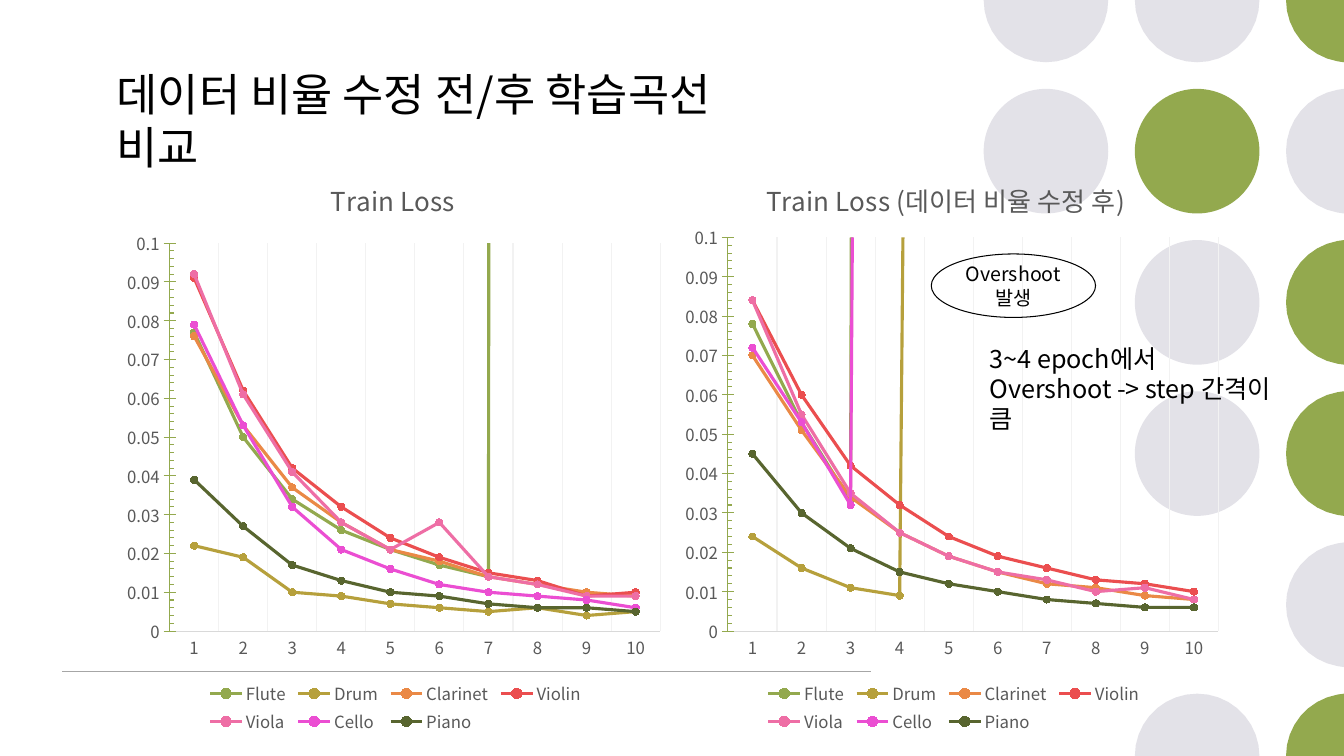
from copy import deepcopy
from dataclasses import dataclass
from math import cos, pi, sin

from lxml.etree import SubElement
from pptx import Presentation
from pptx.chart.data import CategoryChartData
from pptx.dml.color import RGBColor
from pptx.enum.chart import XL_CHART_TYPE as ChartType, XL_LEGEND_POSITION as LegendPosition
from pptx.enum.chart import XL_MARKER_STYLE as MarkerStyle, XL_TICK_MARK as TickMark
from pptx.enum.shapes import MSO_CONNECTOR as Connector, MSO_SHAPE as Shape
from pptx.enum.text import MSO_ANCHOR as Anchor, PP_ALIGN as Align
from pptx.oxml import parse_xml
from pptx.oxml.ns import nsdecls, qn
from pptx.util import Cm, Pt


@dataclass(frozen=True)
class Theme:
    font: str = "Noto Sans CJK KR"
    text: str = "000000"
    chart_text: str = "595959"
    green: str = "93A94E"
    gray: str = "E3E2E8"
    rule: str = "A6A6A6"
    axis: str = "D9D9D9"
    grid: str = "F2F2F2"
    title_size: float = 32
    note_size: float = 18
    callout_size: float = 14
    chart_title_size: float = 18.6
    label_size: float = 12
    line_pitch: float = 1.19


@dataclass(frozen=True)
class LossChart:
    title: str
    left: float
    title_at: tuple[float, float]
    plot_top: float
    plot_height: float
    losses: list[list[float]]


THEME = Theme()
WIDTH, HEIGHT = 33.87, 19.05
INSTRUMENTS = {
    "Flute": THEME.green, "Drum": "B6A03C", "Clarinet": "EA8946", "Violin": "EB4E4F",
    "Viola": "EE6EA5", "Cello": "EB4ED2", "Piano": "58652F",
}
PRIMARY_COUNT = 3
# One string per row of dots: G green, g gray, blank for no dot
DOT_ROWS = ["ggG", "gGg", " gG", " gG", "  g", " gG"]
DOT_RADIUS, DOT_PITCH, FIRST_DOT, DOT_STEPS = 1.57, 3.81, 26.36, 36

CHARTS = [
    LossChart("Train Loss", 2.87, (0.38, 0.04), 0.16, 0.66, [
        [0.077, 0.05, 0.034, 0.026, 0.021, 0.017, 0.014, 12.887, 15.508, 15.508],
        [0.022, 0.019, 0.01, 0.009, 0.007, 0.006, 0.005, 0.006, 0.004, 0.005],
        [0.076, 0.053, 0.037, 0.028, 0.021, 0.018, 0.014, 0.012, 0.01, 0.009],
        [0.091, 0.062, 0.042, 0.032, 0.024, 0.019, 0.015, 0.013, 0.009, 0.01],
        [0.092, 0.061, 0.041, 0.028, 0.021, 0.028, 0.014, 0.012, 0.009, 0.009],
        [0.079, 0.053, 0.032, 0.021, 0.016, 0.012, 0.01, 0.009, 0.008, 0.006],
        [0.039, 0.027, 0.017, 0.013, 0.01, 0.009, 0.007, 0.006, 0.006, 0.005],
    ]),
    LossChart("Train Loss (데이터 비율 수정 후)", 16.94, (0.16, 0.04), 0.15, 0.67, [
        [0.078, 0.053, 0.033, 4.559, 4.778, 4.778, 4.778, 4.779, 4.778, 4.778],
        [0.024, 0.016, 0.011, 0.009, 1.357, 2.328, 2.328, 2.328, 2.328, 2.328],
        [0.07, 0.051, 0.034, 0.025, 0.019, 0.015, 0.012, 0.011, 0.009, 0.008],
        [0.084, 0.06, 0.042, 0.032, 0.024, 0.019, 0.016, 0.013, 0.012, 0.01],
        [0.084, 0.055, 0.035, 0.025, 0.019, 0.015, 0.013, 0.01, 0.011, 0.008],
        [0.072, 0.053, 0.032, 1.9, 5.4, 5.4, 5.4, 5.4, 5.4, 5.4],
        [0.045, 0.03, 0.021, 0.015, 0.012, 0.01, 0.008, 0.007, 0.006, 0.006],
    ]),
]


def rgb(color: str) -> RGBColor:
    return RGBColor.from_string(color)


def style_font(font, size: float, color: str) -> None:
    font.name, font.size, font.bold = THEME.font, Pt(size), False
    font.color.rgb = rgb(color)


def style_run(span, size: float, color: str) -> None:
    style_font(span.font, size, color)
    SubElement(span.font._element, qn("a:ea")).set("typeface", THEME.font)


def write(frame, lines: list[str], size: float, align=Align.LEFT) -> None:
    frame.word_wrap = True
    frame.text = "\n".join(lines)
    for para in frame.paragraphs:
        para.alignment = align
        para.line_spacing = Pt(size * THEME.line_pitch)
        for span in para.runs:
            style_run(span, size, THEME.text)


def add_text(page, at: tuple[float, ...], lines: list[str], size: float) -> None:
    box = page.shapes.add_textbox(*map(Cm, at))
    write(box.text_frame, lines, size)


def clipped_circle(x: float, y: float) -> list[tuple[int, int]]:
    """Outline of a dot cut off at the slide edge, without points inside straight runs."""
    angles = [2 * pi * step / DOT_STEPS for step in range(DOT_STEPS)]
    points = [(Cm(min(x + DOT_RADIUS * cos(angle), WIDTH)),
               Cm(min(max(y + DOT_RADIUS * sin(angle), 0), HEIGHT))) for angle in angles]
    corners = []
    for index, (px, py) in enumerate(points):
        (ax, ay), (bx, by) = points[index - 1], points[(index + 1) % DOT_STEPS]
        on_edge = ax == px == bx or ay == py == by
        if not on_edge and (px, py) not in corners:
            corners.append((px, py))
    # A dot in the slide corner also needs the corner itself
    if x + DOT_RADIUS > WIDTH and y in (0, HEIGHT):
        corner = (Cm(WIDTH), Cm(y))
        if corner not in corners:
            corners.insert(0 if y == 0 else len(corners), corner)
    return corners


def add_dot(page, x: float, y: float, color: str) -> None:
    radius = DOT_RADIUS
    if x + radius <= WIDTH and radius <= y <= HEIGHT - radius:
        dot = page.shapes.add_shape(Shape.OVAL, Cm(x - radius), Cm(y - radius),
                                    Cm(2 * radius), Cm(2 * radius))
    else:
        points = clipped_circle(x, y)
        builder = page.shapes.build_freeform(*points[0])
        builder.add_line_segments(points[1:])
        dot = builder.convert_to_shape()
    dot.shadow.inherit = False
    dot.fill.solid()
    dot.fill.fore_color.rgb = rgb(color)
    dot.line.fill.background()


def layout_xml(x: float, y: float, size: tuple[float, ...] = (), inner: bool = False):
    target = '<c:layoutTarget val="inner"/>' if inner else ""
    values = "".join(f'<c:{tag} val="{value}"/>' for tag, value in zip("xywh", (x, y, *size)))
    return parse_xml(f'<c:layout {nsdecls("c")}><c:manualLayout>{target}<c:xMode val="edge"/>'
                     f'<c:yMode val="edge"/>{values}</c:manualLayout></c:layout>')


def place(parent, after: str | None, layout) -> None:
    for old in parent.findall(qn("c:layout")):
        parent.remove(old)
    position = parent.index(parent.find(qn(after))) + 1 if after else 0
    parent.insert(position, layout)


def split_axes(plot_area) -> None:
    """Move the later series to a hidden secondary pair of axes."""
    first = plot_area.find(qn("c:lineChart"))
    second = deepcopy(first)
    first.addnext(second)
    for line in first.findall(qn("c:ser"))[PRIMARY_COUNT:]:
        first.remove(line)
    for line in second.findall(qn("c:ser"))[:PRIMARY_COUNT]:
        second.remove(line)
    axes = [plot_area.find(qn(tag)) for tag in ("c:catAx", "c:valAx")]
    new_ids = {axis.find(qn("c:axId")).get("val"): str(5001 + i) for i, axis in enumerate(axes)}
    last = axes[-1]
    for axis in axes:
        hidden = deepcopy(axis)
        for grid in hidden.findall(qn("c:majorGridlines")):
            hidden.remove(grid)
        hidden.find(qn("c:delete")).set("val", "1")
        for tag in ("c:axId", "c:crossAx"):
            link = hidden.find(qn(tag))
            link.set("val", new_ids[link.get("val")])
        if axis.tag == qn("c:valAx"):
            hidden.find(qn("c:axPos")).set("val", "r")
            hidden.find(qn("c:crosses")).set("val", "max")
        last.addnext(hidden)
        last = hidden
    for link in second.findall(qn("c:axId")):
        link.set("val", new_ids[link.get("val")])


def add_loss_chart(page, item: LossChart) -> None:
    data = CategoryChartData()
    data.categories = [str(epoch) for epoch in range(1, 11)]
    for name, values in zip(INSTRUMENTS, item.losses):
        data.add_series(name, values)
    chart = page.shapes.add_chart(ChartType.LINE_MARKERS, Cm(item.left), Cm(3.76),
                                  Cm(14.05), Cm(14.81), data).chart
    style_font(chart.font, THEME.label_size, THEME.chart_text)
    # Title and legend
    chart.chart_title.text_frame.text = item.title
    style_run(chart.chart_title.text_frame.paragraphs[0].runs[0],
              THEME.chart_title_size, THEME.chart_text)
    chart.has_legend = True
    chart.legend.position = LegendPosition.BOTTOM
    chart.legend.include_in_layout = False
    style_font(chart.legend.font, THEME.label_size, THEME.chart_text)
    # Axes
    epochs, loss = chart.category_axis, chart.value_axis
    for axis, color in ((epochs, THEME.axis), (loss, THEME.green)):
        style_font(axis.tick_labels.font, THEME.label_size, THEME.chart_text)
        axis.format.line.color.rgb = rgb(color)
        axis.format.line.width = Pt(0.75)
    epochs.major_tick_mark = TickMark.NONE
    epochs.has_major_gridlines = True
    epochs.major_gridlines.format.line.color.rgb = rgb(THEME.grid)
    loss.has_major_gridlines = False
    loss.minimum_scale, loss.maximum_scale, loss.major_unit = 0, 0.1, 0.01
    loss.major_tick_mark, loss.minor_tick_mark = TickMark.CROSS, TickMark.INSIDE
    # Series
    for series, color in zip(chart.plots[0].series, INSTRUMENTS.values()):
        series.smooth = False
        series.format.line.width = Pt(2.25)
        series.marker.style, series.marker.size = MarkerStyle.CIRCLE, 5
        series.marker.format.fill.solid()
        series.marker.format.fill.fore_color.rgb = rgb(color)
        for line in (series.format.line, series.marker.format.line):
            line.color.rgb = rgb(color)
    # Places inside the chart, as shares of its size
    root = chart._chartSpace.find(qn("c:chart"))
    plot_area = root.find(qn("c:plotArea"))
    split_axes(plot_area)
    place(root.find(qn("c:title")), "c:tx", layout_xml(*item.title_at))
    place(root.find(qn("c:legend")), "c:legendPos", layout_xml(0.16, 0.9, (0.69, 0.1)))
    place(plot_area, None, layout_xml(0.1, item.plot_top, (0.88, item.plot_height), inner=True))


def main() -> None:
    deck = Presentation()
    deck.slide_width, deck.slide_height = Cm(WIDTH), Cm(HEIGHT)
    page = deck.slides.add_slide(deck.slide_layouts[6])
    # Dot pattern and rule
    for row, marks in enumerate(DOT_ROWS):
        for column, mark in enumerate(marks):
            if mark != " ":
                add_dot(page, FIRST_DOT + column * DOT_PITCH, row * DOT_PITCH,
                        THEME.green if mark == "G" else THEME.gray)
    rule = page.shapes.add_connector(Connector.STRAIGHT, Cm(1.57), Cm(16.92), Cm(21.95), Cm(16.92))
    rule.line.color.rgb = rgb(THEME.rule)
    rule.line.width = Pt(1)
    SubElement(rule._element.spPr, qn("a:effectLst"))

    for item in CHARTS:
        add_loss_chart(page, item)
    # Title, callout and note
    add_text(page, (2.69, 1.57, 17.12, 1.63), ["데이터 비율 수정 전/후 학습곡선 비교"], THEME.title_size)
    callout = page.shapes.add_shape(Shape.OVAL, Cm(23.47), Cm(6.4), Cm(4.14), Cm(1.6))
    callout.shadow.inherit = False
    callout.fill.background()
    callout.line.color.rgb = rgb(THEME.text)
    callout.line.width = Pt(0.75)
    frame = callout.text_frame
    frame.margin_left = frame.margin_right = Cm(0.1)
    frame.vertical_anchor = Anchor.MIDDLE
    write(frame, ["Overshoot 발생"], THEME.callout_size, Align.CENTER)
    add_text(page, (24.69, 8.53, 7.95, 1.8),
             ["3~4 epoch에서", "Overshoot -> step 간격이 큼"], THEME.note_size)

    deck.save("out.pptx")


if __name__ == "__main__":
    main()
